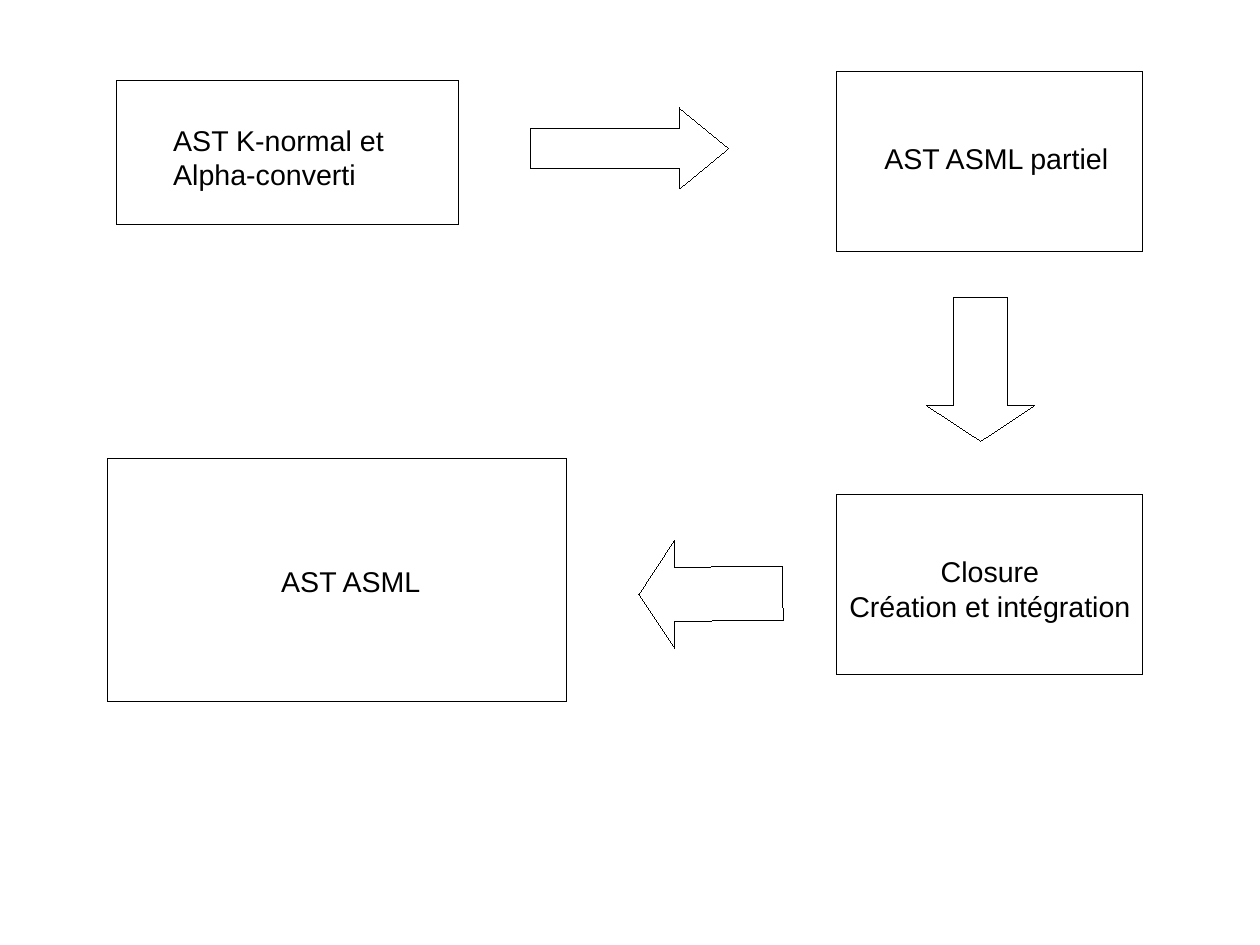
from pptx import Presentation
from pptx.dml.color import RGBColor
from pptx.enum import shapes, text
from pptx.util import Pt

BLACK = RGBColor(0x00, 0x00, 0x00)
WHITE = RGBColor(0xFF, 0xFF, 0xFF)
FONT = "Arial"
HAIRLINE = Pt(0.01)
BLANK_LAYOUT = 6

STAGE_SIZE = (192.76, 113.39)
SHORT_ARROW = (90.71, 68.03)
LEFT = text.PP_ALIGN.LEFT
CENTER = text.PP_ALIGN.CENTER


def add_outline(page, kind, left, top, width, height):
    shape = page.shapes.add_shape(kind, Pt(left), Pt(top), Pt(width), Pt(height))
    shape.shadow.inherit = False
    shape.fill.solid()
    shape.fill.fore_color.rgb = WHITE
    shape.line.color.rgb = BLACK
    shape.line.width = HAIRLINE
    return shape


def add_label(page, lines, left, top, width, height, align):
    box = page.shapes.add_textbox(Pt(left), Pt(top), Pt(width), Pt(height))
    frame = box.text_frame
    frame.word_wrap = True
    frame.auto_size = text.MSO_AUTO_SIZE.SHAPE_TO_FIT_TEXT
    frame.text = "\n".join(lines)
    for para in frame.paragraphs:
        para.alignment = align
        para.font.name = FONT
        para.font.size = Pt(18)
        para.font.color.rgb = BLACK


def add_stage(page, frame, lines, label, align=LEFT):
    add_outline(page, shapes.MSO_SHAPE.RECTANGLE, *frame)
    add_label(page, lines, *label, align)


def add_arrow(page, left, top, size, rotation, head):
    arrow = add_outline(page, shapes.MSO_SHAPE.LEFT_ARROW, left, top, *size)
    arrow.rotation = rotation
    arrow.adjustments[0] = 0.5
    arrow.adjustments[1] = head


def main():
    deck = Presentation()
    deck.slide_width = Pt(793.7)
    deck.slide_height = Pt(595.28)
    page = deck.slides.add_slide(deck.slide_layouts[BLANK_LAYOUT])

    add_stage(page, (73.7, 51.02, 215.43, 90.71),
              ["AST K-normal et Alpha-converti"], (102.05, 73.7, 164, 47.5))
    add_arrow(page, 334.3, 68.03, (124.72, 51.02), 179.9, 0.61)
    add_stage(page, (527.24, 45.35, *STAGE_SIZE),
              ["AST ASML partiel"], (550, 85.04, 158.4, 28))
    add_arrow(page, 572.4, 198.5, SHORT_ARROW, 269.9, 0.33)
    add_stage(page, (527.24, 311.81, *STAGE_SIZE),
              ["Closure", "Création et intégration"],
              (527.24, 345.6, 192.76, 47.5), CENTER)
    add_arrow(page, 402.52, 340.16, SHORT_ARROW, 359.8, 0.33)
    add_stage(page, (68.03, 289.13, 289.13, 153.07),
              ["AST ASML"], (170.08, 351.4, 108, 27.4))

    deck.save("out.pptx")


if __name__ == "__main__":
    main()
